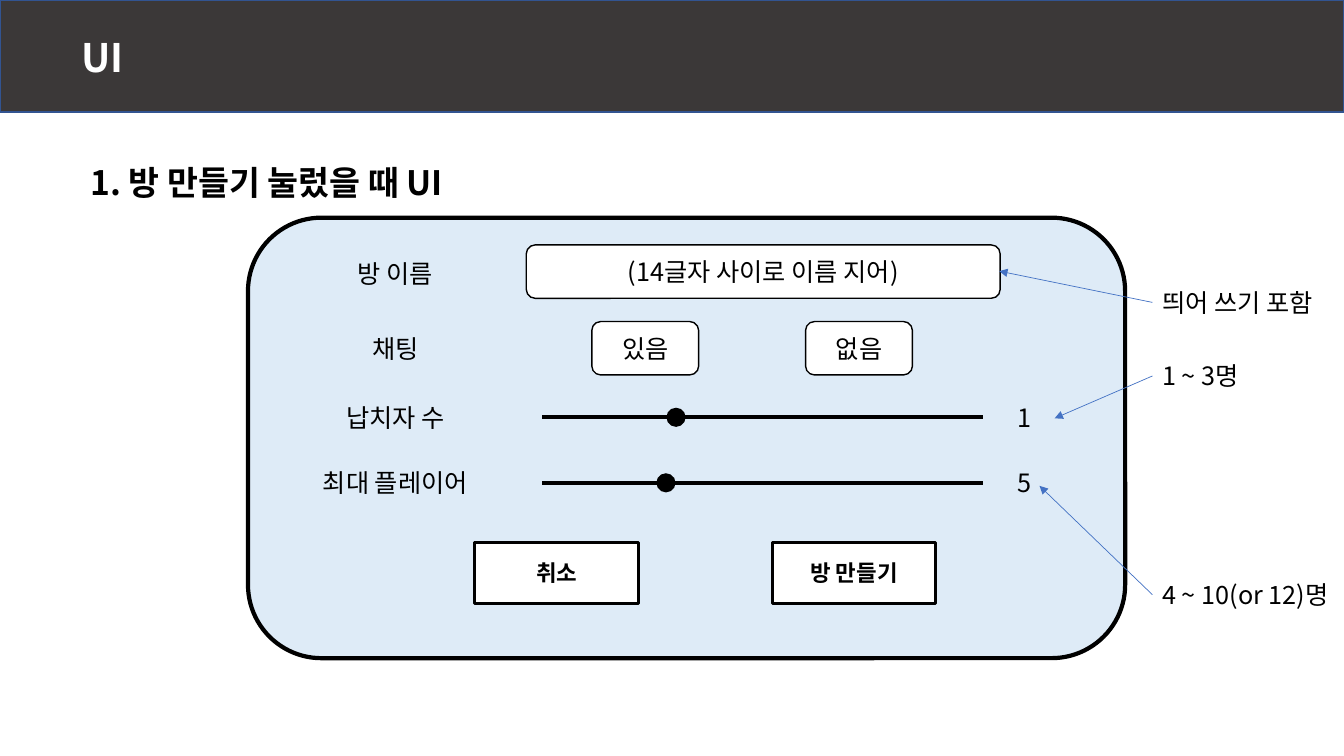
from dataclasses import dataclass

from lxml import etree
from pptx import Presentation
from pptx.dml.color import RGBColor
from pptx.enum.shapes import MSO_CONNECTOR, MSO_SHAPE
from pptx.enum.text import MSO_ANCHOR, PP_ALIGN
from pptx.oxml.ns import qn
from pptx.util import Inches, Pt

RECT = MSO_SHAPE.RECTANGLE
ROUNDED = MSO_SHAPE.ROUNDED_RECTANGLE
OVAL = MSO_SHAPE.OVAL
STRAIGHT = MSO_CONNECTOR.STRAIGHT
LEFT, CENTER = PP_ALIGN.LEFT, PP_ALIGN.CENTER
MIDDLE = MSO_ANCHOR.MIDDLE


@dataclass(frozen=True)
class Theme:
    font: str = "Noto Sans CJK KR"
    ink: str = "000000"
    paper: str = "FFFFFF"
    band: str = "3B3838"
    band_edge: str = "325491"
    panel: str = "DEEBF7"
    arrow: str = "4472C4"
    title: float = 28
    heading: float = 24
    body: float = 18
    button: float = 16


THEME = Theme()
LABEL_CENTER = 3.92
TEXT_HEIGHT = 0.4
NOTE_LEFT = 11.43
TRACK_LEFT, TRACK_RIGHT = 5.38, 9.75
KNOB = 0.19


def write(frame, text, size=THEME.body, color=THEME.ink, bold=False, align=LEFT):
    frame.text = text
    frame.word_wrap = True
    paragraph = frame.paragraphs[0]
    paragraph.alignment = align
    font = paragraph.font
    font.size, font.bold, font.name = Pt(size), bold, THEME.font
    font.color.rgb = RGBColor.from_string(color)
    defaults = paragraph._p.pPr.find(qn("a:defRPr"))
    etree.SubElement(defaults, qn("a:ea"), typeface=THEME.font)


def add_text(slide, text, left, top, width, height=TEXT_HEIGHT, **style):
    caption = slide.shapes.add_textbox(
        Inches(left), Inches(top), Inches(width), Inches(height))
    caption.text_frame.margin_right = 0 if style.get("align") != CENTER else Inches(0.1)
    write(caption.text_frame, text, **style)


def add_box(slide, kind, left, top, width, height, fill, edge=None, weight=1):
    box = slide.shapes.add_shape(
        kind, Inches(left), Inches(top), Inches(width), Inches(height))
    box.shadow.inherit = False
    box.fill.solid()
    box.fill.fore_color.rgb = RGBColor.from_string(fill)
    if edge:
        box.line.color.rgb = RGBColor.from_string(edge)
        box.line.width = Pt(weight)
    else:
        box.line.fill.background()
    return box


def add_control(slide, kind, text, left, top, width, height, weight=1, **style):
    control = add_box(slide, kind, left, top, width, height,
                      THEME.paper, THEME.ink, weight)
    control.text_frame.vertical_anchor = MIDDLE
    write(control.text_frame, text, align=CENTER, **style)


def add_line(slide, start, end, color, weight, arrow=False):
    line = slide.shapes.add_connector(
        STRAIGHT, *(Inches(value) for value in (*start, *end)))
    line.line.color.rgb = RGBColor.from_string(color)
    line.line.width = Pt(weight)
    if arrow:
        etree.SubElement(line.line._get_or_add_ln(), qn("a:tailEnd"), type="triangle")
    etree.SubElement(line._element.spPr, qn("a:effectLst"))


def add_label(slide, text, top):
    width = 1.9
    add_text(slide, text, LABEL_CENTER - width / 2, top, width, align=CENTER)


def add_slider(slide, label, value, middle, knob_left):
    top = middle - TEXT_HEIGHT / 2
    add_label(slide, label, top)
    add_line(slide, (TRACK_LEFT, middle), (TRACK_RIGHT, middle), THEME.ink, 3)
    add_box(slide, OVAL, knob_left, middle - KNOB / 2, KNOB, KNOB, THEME.ink)
    add_text(slide, value, 9.99, top, 0.34)


def add_note(slide, text, middle, target):
    add_line(slide, (NOTE_LEFT, middle), target, THEME.arrow, 0.5, arrow=True)
    add_text(slide, text, NOTE_LEFT, middle - TEXT_HEIGHT / 2, 1.9)


def add_title(slide, text):
    title = slide.shapes.title
    title.left, title.top = Inches(0.71), Inches(0.28)
    title.width, title.height = Inches(4.63), Inches(0.57)
    title.text_frame.vertical_anchor = MIDDLE
    write(title.text_frame, text, THEME.title, THEME.paper, bold=True)
    band = add_box(slide, RECT, 0, 0, 13.33, 1.11, THEME.band, THEME.band_edge)
    title._element.addprevious(band._element)


def main():
    deck = Presentation()
    deck.slide_width, deck.slide_height = Inches(13.33), Inches(7.5)
    slide = deck.slides.add_slide(deck.slide_layouts[5])

    add_title(slide, "UI")
    add_box(slide, ROUNDED, 2.46, 2.16, 8.7, 4.37, THEME.panel, THEME.ink, 3)
    add_text(slide, "1. 방 만들기 눌렀을 때 UI", 0.8, 1.56, 5, 0.5,
             size=THEME.heading, bold=True)

    add_label(slide, "방 이름", 2.51)
    add_control(slide, ROUNDED, "(14글자 사이로 이름 지어)", 5.22, 2.43, 4.7, 0.53)
    add_label(slide, "채팅", 3.26)
    for choice, left in (("있음", 5.87), ("없음", 7.99)):
        add_control(slide, ROUNDED, choice, left, 3.19, 1.06, 0.53)

    add_slider(slide, "납치자 수", "1", 4.14, 6.61)
    add_slider(slide, "최대 플레이어", "5", 4.79, 6.51)

    for action, left in (("취소", 4.71), ("방 만들기", 7.66)):
        add_control(slide, RECT, action, left, 5.38, 1.62, 0.61, 2.25,
                    size=THEME.button, bold=True)

    add_note(slide, "띄어 쓰기 포함", 3, (9.91, 2.69))
    add_note(slide, "1 ~ 3명", 3.73, (10.46, 4.15))
    add_note(slide, "4 ~ 10(or 12)명", 5.9, (10.31, 4.82))

    deck.save("out.pptx")


if __name__ == "__main__":
    main()
